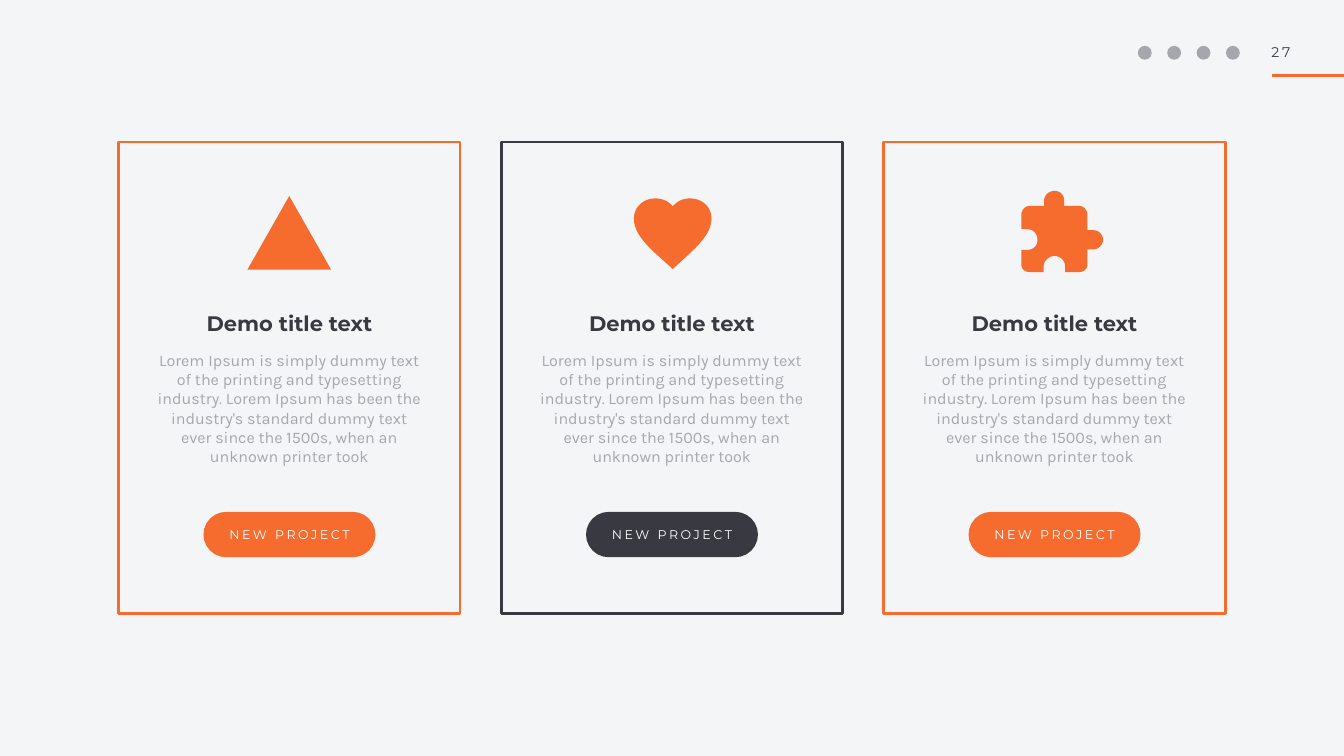
from dataclasses import dataclass

from lxml import etree
from pptx import Presentation
from pptx.dml.color import RGBColor
from pptx.enum.shapes import MSO_CONNECTOR, MSO_SHAPE
from pptx.enum.text import MSO_ANCHOR, PP_ALIGN
from pptx.oxml.ns import qn
from pptx.util import Cm, Pt

RECT, PILL = MSO_SHAPE.RECTANGLE, MSO_SHAPE.ROUNDED_RECTANGLE
OVAL, TRIANGLE = MSO_SHAPE.OVAL, MSO_SHAPE.ISOSCELES_TRIANGLE
LEFT, CENTER = PP_ALIGN.LEFT, PP_ALIGN.CENTER
TOP, MIDDLE = MSO_ANCHOR.TOP, MSO_ANCHOR.MIDDLE


@dataclass(frozen=True)
class Theme:
    background: str = "F4F5F7"
    accent: str = "F56C2E"
    dark: str = "393941"
    muted: str = "A6A7AC"
    white: str = "FFFFFF"
    heading_font: str = "Montserrat"
    body_font: str = "Karla"
    title_size: int = 30
    body_size: int = 23
    number_size: int = 20
    button_size: int = 18
    border: int = 4
    button_border: int = 3


THEME = Theme()
SLIDE_W, SLIDE_H = 67.74, 38.1
CARD_W, CARD_H = 17.2, 23.75
CARD_LEFT, CARD_TOP, CARD_STEP = 5.99, 7.16, 19.28

TITLE = "Demo title text"
BODY = ("Lorem Ipsum is simply dummy text of the printing and typesetting industry. "
        "Lorem Ipsum has been the industry's standard dummy text ever since the 1500s, "
        "when an unknown printer took")
BUTTON = "NEW PROJECT"

# Outlines: a pair is a straight step, six numbers are a cubic curve.
OUTLINE_UNIT = 0.0254
HEART = [(77, 140), (66, 130), (26, 95, 0, 70, 0, 40), (0, 17, 19, 0, 42, 0),
         (56, 0, 69, 5, 77, 16), (86, 5, 98, 0, 111, 0),
         (136, 0, 154, 17, 154, 40), (154, 70, 127, 95, 88, 130)]
PUZZLE = [(143, 78), (131, 78), (131, 47), (131, 38, 123, 30, 116, 30), (85, 30),
          (85, 20), (85, 8, 77, 0, 66, 0), (55, 0, 45, 8, 45, 20), (45, 30),
          (16, 30), (7, 30, 0, 38, 0, 47), (0, 76), (12, 76),
          (23, 76, 32, 85, 32, 97), (32, 109, 23, 117, 12, 117), (0, 117),
          (0, 147), (0, 155, 7, 161, 16, 161), (44, 161), (44, 150),
          (44, 139, 55, 129, 66, 129), (77, 129, 87, 139, 87, 150), (87, 161),
          (116, 161), (123, 161, 131, 155, 131, 147), (131, 116), (143, 116),
          (153, 116, 162, 107, 162, 97), (162, 86, 153, 78, 143, 78)]


def rgb(color):
    return RGBColor.from_string(color)


def paint(sp, fill=None, line=None, width=0):
    sp.shadow.inherit = False
    if fill:
        sp.fill.solid()
        sp.fill.fore_color.rgb = rgb(fill)
    else:
        sp.fill.background()
    if line:
        sp.line.color.rgb = rgb(line)
        sp.line.width = Pt(width)
    else:
        sp.line.fill.background()


def add_shape(shapes, kind, x, y, w, h, **style):
    sp = shapes.add_shape(kind, Cm(x), Cm(y), Cm(w), Cm(h))
    paint(sp, **style)
    return sp


def add_text(shapes, text, x, y, w, h, size, color, font=THEME.heading_font,
             align=CENTER, anchor=MIDDLE, bold=False, spacing=0, line_spacing=None):
    """Add a one-paragraph text box; spacing is the letter spacing in points."""
    tf = shapes.add_textbox(Cm(x), Cm(y), Cm(w), Cm(h)).text_frame
    tf.word_wrap = True
    tf.vertical_anchor = anchor
    tf.margin_left = tf.margin_right = tf.margin_top = tf.margin_bottom = Cm(0.1)
    tf.text = text
    p = tf.paragraphs[0]
    p.alignment = align
    if line_spacing:
        p.line_spacing = line_spacing
    r = p.runs[0]
    r.font.size, r.font.name, r.font.bold = Pt(size), font, bold
    r.font.color.rgb = rgb(color)
    if spacing:
        r.font._element.set("spc", str(round(spacing * 100)))


def trace(outline, steps=12):
    """Turn an outline into points, sampling each cubic curve."""
    points = [outline[0]]
    for part in outline[1:]:
        if len(part) == 2:
            points.append(part)
            continue
        corners = [points[-1], part[:2], part[2:4], part[4:]]
        for i in range(1, steps + 1):
            t = i / steps
            weights = ((1 - t) ** 3, 3 * t * (1 - t) ** 2, 3 * t * t * (1 - t), t ** 3)
            points.append(tuple(sum(k * c[axis] for k, c in zip(weights, corners))
                                for axis in (0, 1)))
    return points


def add_outline(shapes, outline, x, y):
    unit = Cm(OUTLINE_UNIT)
    points = [(px * unit, py * unit) for px, py in trace(outline)]
    builder = shapes.build_freeform(*points[0])
    builder.add_line_segments(points[1:], close=True)
    paint(builder.convert_to_shape(Cm(x), Cm(y)), fill=THEME.accent)


def triangle_icon(shapes, x, y):
    add_shape(shapes, TRIANGLE, x + 6.48, y + 2.72, 4.22, 3.71, fill=THEME.accent)


def heart_icon(shapes, x, y):
    add_outline(shapes, HEART, x + 6.68, y + 2.84)


def puzzle_icon(shapes, x, y):
    add_outline(shapes, PUZZLE, x + 6.93, y + 2.46)


def add_card(slide, x, y, w, h, color, draw_icon):
    shapes = slide.shapes.add_group_shape().shapes

    def centred(width):
        return x + (w - width) / 2

    add_shape(shapes, RECT, x, y, w, h, line=color, width=THEME.border)
    draw_icon(shapes, x, y)
    add_text(shapes, TITLE, centred(10.11), y + 8.46, 10.11, 1.52,
             THEME.title_size, THEME.dark, bold=True, line_spacing=0.8)
    add_text(shapes, BODY, centred(13.59), y + 10.39, 13.59, 6.17,
             THEME.body_size, THEME.muted, font=THEME.body_font, anchor=TOP)
    pill = add_shape(shapes, PILL, centred(8.56), y + 18.69, 8.56, 2.18,
                     fill=color, line=color, width=THEME.button_border)
    pill.adjustments[0] = 0.5
    add_text(shapes, BUTTON, centred(6.81), y + 19.3, 6.81, 0.99,
             THEME.button_size, THEME.white, spacing=3.6)


def add_header(slide, x, y, right):
    """Place four social marks, the page number and its rule up to the right edge."""
    size, step = 0.7, 1.48
    for i in range(4):
        add_shape(slide.shapes, OVAL, x + i * step, y + 0.19, size, size,
                  fill=THEME.muted)
    add_text(slide.shapes, "27", x + 6.63, y - 0.01, 1.68, 1.07, THEME.number_size,
             THEME.dark, align=LEFT, anchor=TOP, spacing=4)
    rule_y = Cm(y + 1.69)
    rule = slide.shapes.add_connector(MSO_CONNECTOR.STRAIGHT, Cm(x + 6.76), rule_y,
                                      Cm(right), rule_y)
    rule.line.color.rgb = rgb(THEME.accent)
    rule.line.width = Pt(THEME.border)
    etree.SubElement(rule._element.spPr, qn("a:effectLst"))


def main():
    prs = Presentation()
    prs.slide_width, prs.slide_height = Cm(SLIDE_W), Cm(SLIDE_H)
    slide = prs.slides.add_slide(prs.slide_layouts[6])
    slide.background.fill.solid()
    slide.background.fill.fore_color.rgb = rgb(THEME.background)

    add_header(slide, 57.35, 2.12, SLIDE_W)
    cards = [(THEME.accent, triangle_icon), (THEME.dark, heart_icon),
             (THEME.accent, puzzle_icon)]
    for i, (color, draw_icon) in enumerate(cards):
        add_card(slide, CARD_LEFT + i * CARD_STEP, CARD_TOP, CARD_W, CARD_H,
                 color, draw_icon)
    prs.save("out.pptx")


if __name__ == "__main__":
    main()
